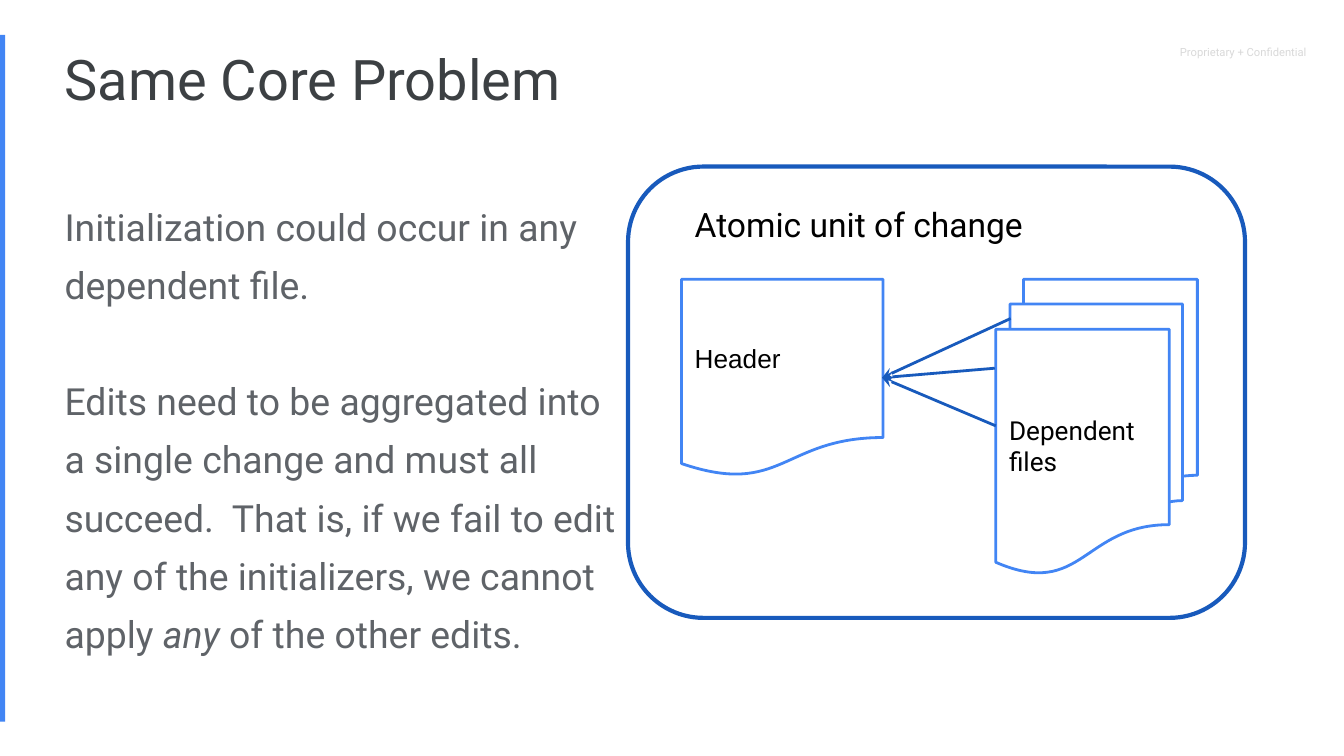
from dataclasses import dataclass

from lxml.etree import SubElement
from pptx import Presentation
from pptx.dml.color import RGBColor
from pptx.enum.shapes import MSO_CONNECTOR, MSO_SHAPE
from pptx.enum.text import MSO_ANCHOR, MSO_AUTO_SIZE, PP_ALIGN
from pptx.oxml.ns import qn
from pptx.util import Cm, Pt


@dataclass(frozen=True)
class Theme:
    font: str = "Roboto"
    plain_font: str = "Arial"
    title: str = "3C4043"
    body: str = "5F6368"
    label: str = "000000"
    faint: str = "D9D9D9"
    blue: str = "4285F4"
    dark_blue: str = "185ABC"
    title_size: float = 30
    body_size: float = 20
    heading_size: float = 18
    label_size: float = 14
    notice_size: float = 6
    thin: float = 1.5
    thick: float = 2.25


class SlideBuilder:
    """Holds the theme and the current slide."""

    def __init__(self, page, theme):
        self.page = page
        self.theme = theme

    def place(self, shape, area):
        shape.left, shape.top, shape.width, shape.height = map(Cm, area)

    def set_frame(self, frame, anchor=MSO_ANCHOR.TOP):
        frame.word_wrap = True
        frame.auto_size = MSO_AUTO_SIZE.NONE
        frame.vertical_anchor = anchor
        frame.margin_left = frame.margin_right = Cm(0.25)
        frame.margin_top = frame.margin_bottom = Cm(0.25)

    def set_paragraph(self, para, size, color, font=None, spacing=1.0, before=0):
        para.alignment = PP_ALIGN.LEFT
        para.line_spacing = spacing
        para.space_before = Pt(before)
        para.font.name = font or self.theme.font
        para.font.size = Pt(size)
        para.font.color.rgb = RGBColor.from_string(color)

    def title(self, text, area):
        box = self.page.shapes.title
        self.place(box, area)
        self.set_frame(box.text_frame)
        box.text_frame.text = text
        self.set_paragraph(box.text_frame.paragraphs[0], self.theme.title_size,
                           self.theme.title, spacing=0.9)

    def body(self, paragraphs, area, gap):
        """Each paragraph is a list of (text, italic) spans."""
        box = self.page.placeholders[1]
        self.place(box, area)
        frame = box.text_frame
        self.set_frame(frame)
        for index, spans in enumerate(paragraphs):
            para = frame.add_paragraph() if index else frame.paragraphs[0]
            properties = para._p.get_or_add_pPr()
            properties.set("marL", "0")
            properties.set("indent", "0")
            SubElement(properties, qn("a:buNone"))
            self.set_paragraph(para, self.theme.body_size, self.theme.body,
                               spacing=1.3, before=gap if index else 0)
            for text, italic in spans:
                span = para.add_run()
                span.text = text
                if italic:
                    span.font.italic = True

    def text(self, text, area, size, color):
        box = self.page.shapes.add_textbox(*map(Cm, area))
        self.set_frame(box.text_frame)
        box.text_frame.text = text
        self.set_paragraph(box.text_frame.paragraphs[0], size, color)

    def bar(self, area):
        shape = self.page.shapes.add_shape(MSO_SHAPE.RECTANGLE, *map(Cm, area))
        shape.shadow.inherit = False
        shape.fill.solid()
        shape.fill.fore_color.rgb = RGBColor.from_string(self.theme.blue)
        shape.line.fill.background()

    def outline(self, kind, area, color, width, text="", font=None):
        shape = self.page.shapes.add_shape(kind, *map(Cm, area))
        shape.shadow.inherit = False
        shape.fill.background()
        shape.line.color.rgb = RGBColor.from_string(color)
        shape.line.width = Pt(width)
        if text:
            self.set_frame(shape.text_frame, MSO_ANCHOR.MIDDLE)
            shape.text_frame.text = text
            self.set_paragraph(shape.text_frame.paragraphs[0],
                               self.theme.label_size, self.theme.label, font)
        return shape

    def arrow(self, start, end):
        line = self.page.shapes.add_connector(
            MSO_CONNECTOR.STRAIGHT, *map(Cm, start + end))
        line.line.color.rgb = RGBColor.from_string(self.theme.dark_blue)
        line.line.width = Pt(self.theme.thin)
        SubElement(line.line._get_or_add_ln(), qn("a:tailEnd"), type="stealth")
        SubElement(line._element.spPr, qn("a:effectLst"))


def main():
    deck = Presentation()
    deck.slide_width, deck.slide_height = Cm(25.4), Cm(14.29)
    theme = Theme()
    slide = SlideBuilder(deck.slides.add_slide(deck.slide_layouts[1]), theme)

    # Page furniture
    slide.text("Proprietary + Confidential", (22.05, 0.61, 3.35, 0.84),
               theme.notice_size, theme.faint)
    slide.bar((0, 0.66, 0.1, 12.98))

    # Title and explanation
    slide.title("Same Core Problem", (0.97, 0.74, 21.67, 1.14))
    slide.body([
        [("Initialization could occur in any dependent file.", False)],
        [("Edits need to be aggregated into a single change and must all "
          "succeed.  That is, if we fail to edit any of the initializers, "
          "we cannot apply ", False),
         ("any", True),
         (" of the other edits.", False)],
    ], (0.97, 3.35, 10.97, 9.09), gap=31)

    # Frame around the unit of change
    frame = slide.outline(MSO_SHAPE.ROUNDED_RECTANGLE, (11.87, 3.15, 11.66, 8.53),
                          theme.dark_blue, theme.thick)
    frame.adjustments[0] = 0.167
    slide.text("Atomic unit of change", (12.88, 3.61, 6.91, 1.27),
               theme.heading_size, theme.label)

    # Files
    slide.outline(MSO_SHAPE.FLOWCHART_MULTIDOCUMENT, (18.82, 5.28, 3.81, 5.56),
                  theme.blue, theme.thin, "Dependent files")
    slide.outline(MSO_SHAPE.FLOWCHART_DOCUMENT, (12.88, 5.28, 3.81, 3.73),
                  theme.blue, theme.thin, "Header", theme.plain_font)

    # Each dependent file points at the header
    for start in ((19.1, 6.02), (18.8, 6.96), (18.82, 8.05)):
        slide.arrow(start, (16.67, 7.14))

    deck.save("out.pptx")


if __name__ == "__main__":
    main()
